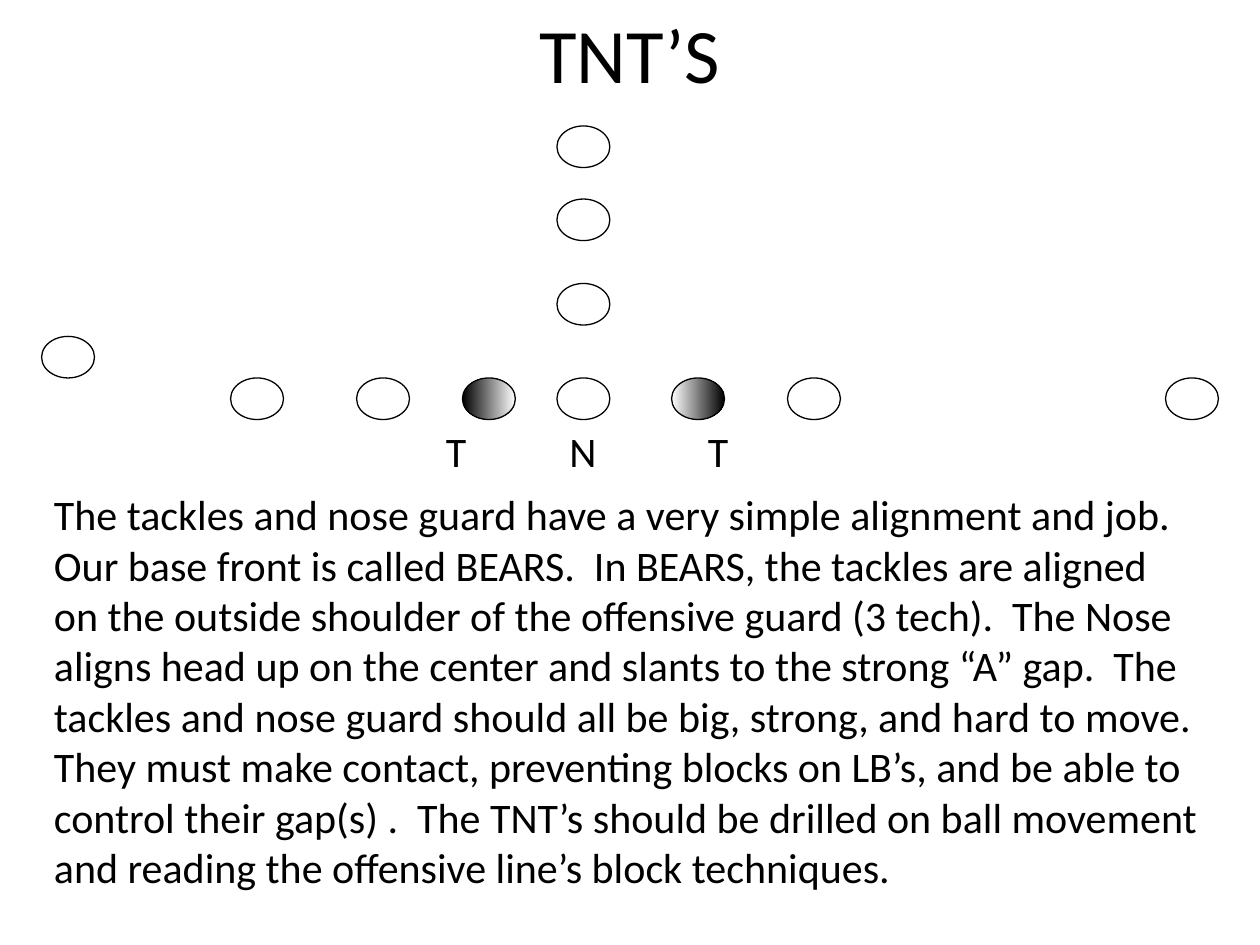
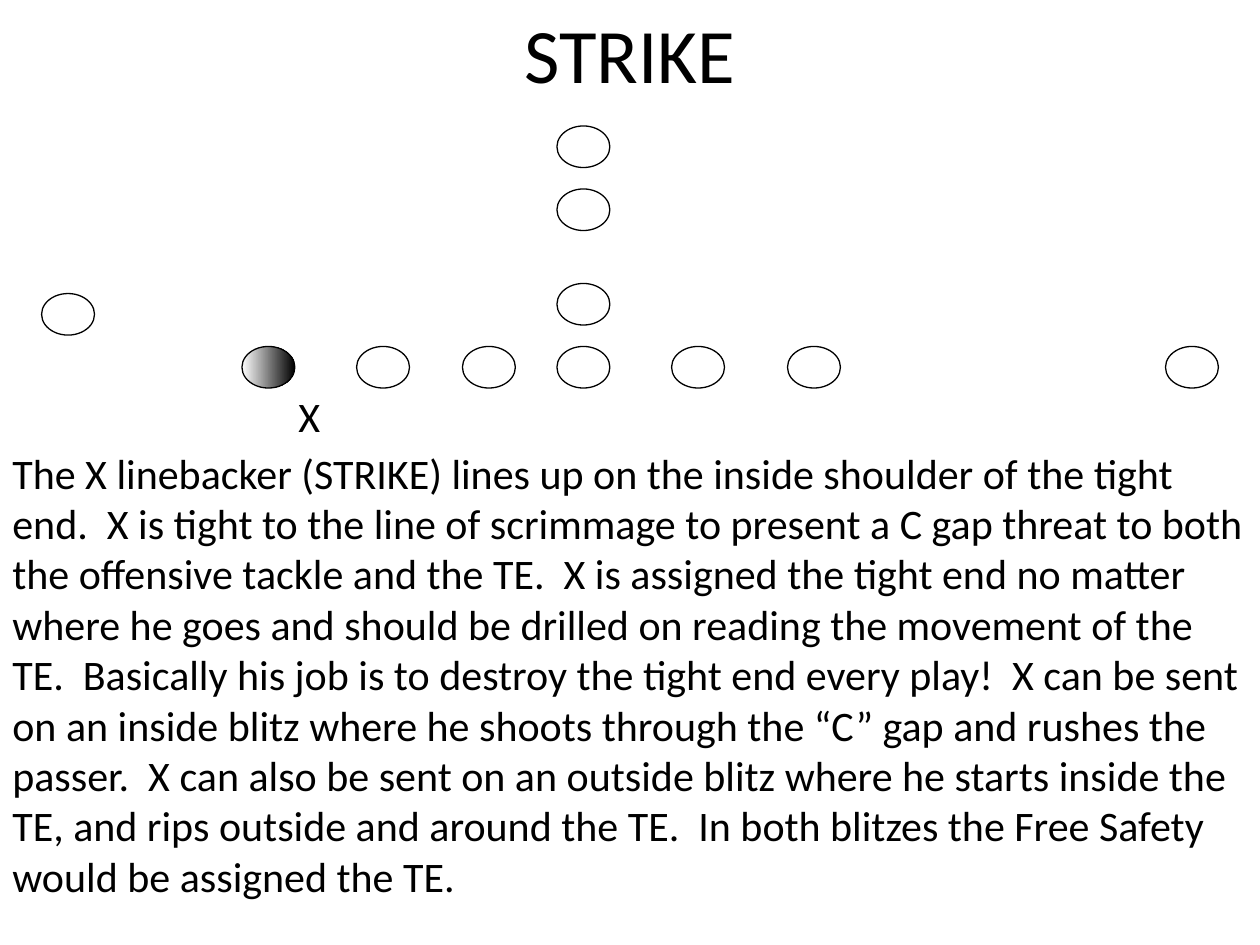
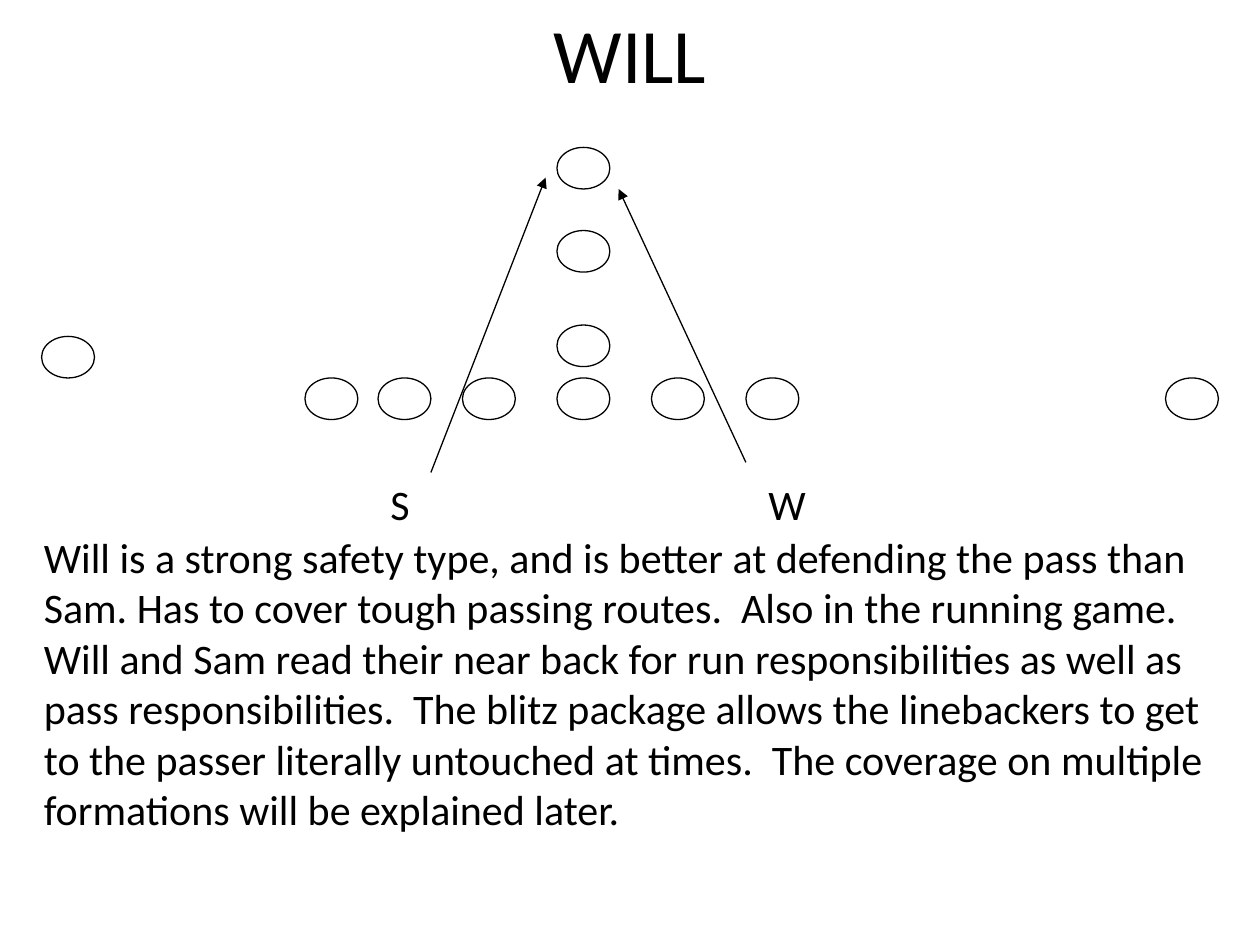
from dataclasses import dataclass

from pptx import Presentation
from pptx import util as u
from pptx.dml.color import RGBColor
from pptx.enum import shapes, text
from pptx.oxml.ns import qn
from lxml import etree


@dataclass(frozen=True)
class Theme:
    font: str = "Calibri"
    ink: RGBColor = RGBColor(0, 0, 0)
    paper: RGBColor = RGBColor(255, 255, 255)
    head: int = 44
    body: int = 24
    line: float = 0.75


@dataclass(frozen=True)
class Spot:
    """A player on offense; shade names the side that is dark."""
    left: float
    top: float
    shade: str = ""


@dataclass(frozen=True)
class Label:
    name: str
    left: float
    top: float
    width: float


@dataclass(frozen=True)
class Rush:
    start: tuple[float, float]
    end: tuple[float, float]


@dataclass(frozen=True)
class Play:
    title: str
    depth: float
    spots: list[Spot]
    labels: list[Label]
    box: tuple[float, float, float, float]
    notes: list[str]
    rushes: tuple[Rush, ...] = ()


THEME = Theme()
CENTER, WING, SPLIT = 4.42, 0.33, 9.25
WIDE, HIGH = 0.42, 0.33


def lineup(top: float, wing: float, row: list[float], backs: list[float],
           shades: dict[float, str] | None = None) -> list[Spot]:
    """Place the line in a row, the backs behind the center, and the wing."""
    marks = shades or {}
    line = [Spot(left, top, marks.get(left, "")) for left in [*row, CENTER, SPLIT]]
    return line + [Spot(CENTER, back) for back in backs] + [Spot(WING, wing)]


PLAYS = [
    Play(
        "TNT’S", 0.83,
        lineup(3, 2.67, [1.83, 2.83, 3.67, 5.33, 6.25], [1, 1.58, 2.25],
               {3.67: "left", 5.33: "right"}),
        [Label("T", 3.44, 3.33, 0.36), Label("N", CENTER, 3.33, 0.42),
         Label("T", 5.52, 3.33, 0.36)],
        (0.33, 3.83, 9.8, 3.3),
        ["The tackles and nose guard have a very simple alignment and job.",
         "Our base front is called BEARS.  In BEARS, the tackles are aligned",
         "on the outside shoulder of the offensive guard (3 tech).  The Nose "
         "aligns head up on the center and slants to the strong “A” gap.  The "
         "tackles and nose guard should all be big, strong, and hard to move.  "
         "They must make contact, preventing blocks on LB’s, and be able to "
         "control their gap(s) .  The TNT’s should be drilled on ball movement "
         "and reading the offensive line’s block techniques."],
    ),
    Play(
        "STRIKE", 0.67,
        lineup(2.75, 2.33, [1.92, 2.83, 3.67, 5.33, 6.25], [1, 1.5, 2.25],
               {1.92: "right"}),
        [Label("X", 2.27, 3.05, 0.37)],
        (0, 3.5, 10, 4.1),
        ["The X linebacker (STRIKE) lines up on the inside shoulder of the tight "
         "end.  X is tight to the line of scrimmage to present a C gap threat to "
         "both the offensive tackle and the TE.  X is assigned the tight end no "
         "matter where he goes and should be drilled on reading the movement of "
         "the TE.  Basically his job is to destroy the tight end every play!  X "
         "can be sent on an inside blitz where he shoots through the “C” gap and "
         "rushes the passer.  X can also be sent on an outside blitz where he "
         "starts inside the TE, and rips outside and around the TE.  In both "
         "blitzes the Free Safety would be assigned the TE."],
    ),
    Play(
        "WILL", 0.75,
        lineup(3, 2.67, [2.42, 3, 3.67, 5.17, 5.92], [1.17, 1.83, 2.58]),
        [Label("S", 3, 3.75, 0.42), Label("W", 6, 3.75, 0.5)],
        (0.25, 4.17, 9.7, 2.5),
        ["Will is a strong safety type, and is better at defending the pass than "
         "Sam. Has to cover tough passing routes.  Also in the running game.",
         "Will and Sam read their near back for run responsibilities as well as "
         "pass responsibilities.  The blitz package allows the linebackers to "
         "get to the passer literally untouched at times.  The coverage on "
         "multiple formations will be explained later."],
        (Rush((3.42, 3.75), (4.33, 1.41)), Rush((5.92, 3.67), (4.91, 1.5))),
    ),
]


def inches(*sizes: float) -> list[u.Length]:
    return [u.Inches(size) for size in sizes]


def assign(item, values: dict) -> None:
    for name, value in values.items():
        setattr(item, name, value)


def write(frame, lines: list[str], size: int, align, fit) -> None:
    assign(frame, {"text": "\n".join(lines), "word_wrap": True, "auto_size": fit,
                   "vertical_anchor": text.MSO_ANCHOR.TOP})
    for para in frame.paragraphs:
        para.alignment = align
        assign(para.font, {"name": THEME.font, "size": u.Pt(size)})
        para.font.color.rgb = THEME.ink


def add_title(slide, play: Play) -> None:
    title = slide.shapes.title
    spots = inches(0.75, 0, 8.5, play.depth)
    assign(title, dict(zip(("left", "top", "width", "height"), spots)))
    write(title.text_frame, [play.title], THEME.head,
          text.PP_ALIGN.CENTER, text.MSO_AUTO_SIZE.NONE)


def add_text(slide, box: tuple, lines: list[str]) -> None:
    frame = slide.shapes.add_textbox(*inches(*box)).text_frame
    write(frame, lines, THEME.body, text.PP_ALIGN.LEFT,
          text.MSO_AUTO_SIZE.SHAPE_TO_FIT_TEXT)


def stroke(line) -> None:
    line.color.rgb = THEME.ink
    line.width = u.Pt(THEME.line)


def add_spot(slide, spot: Spot) -> None:
    oval = slide.shapes.add_shape(
        shapes.MSO_SHAPE.OVAL, *inches(spot.left, spot.top, WIDE, HIGH))
    oval.shadow.inherit = False
    stroke(oval.line)
    if not spot.shade:
        oval.fill.solid()
        oval.fill.fore_color.rgb = THEME.paper
        return
    oval.fill.gradient()
    oval.fill.gradient_angle = 0
    tones = [THEME.ink, THEME.paper]
    if spot.shade == "right":
        tones.reverse()
    for stop, tone in zip(oval.fill.gradient_stops, tones):
        stop.color.rgb = tone


def add_rush(slide, rush: Rush) -> None:
    arrow = slide.shapes.add_connector(
        shapes.MSO_CONNECTOR.STRAIGHT, *inches(*rush.start, *rush.end))
    stroke(arrow.line)
    props = arrow.line._get_or_add_ln()
    etree.SubElement(props, qn("a:tailEnd"), type="triangle")
    etree.SubElement(arrow._element.spPr, qn("a:effectLst"))


def add_play(deck, play: Play) -> None:
    slide = deck.slides.add_slide(deck.slide_layouts.get_by_name("Title Only"))
    add_title(slide, play)
    for spot in play.spots:
        add_spot(slide, spot)
    for label in play.labels:
        add_text(slide, (label.left, label.top, label.width, 0.5), [label.name])
    add_text(slide, play.box, play.notes)
    for rush in play.rushes:
        add_rush(slide, rush)


def main() -> None:
    deck = Presentation()
    assign(deck, {"slide_width": u.Inches(10), "slide_height": u.Inches(7.5)})
    for play in PLAYS:
        add_play(deck, play)
    deck.save("out.pptx")


if __name__ == "__main__":
    main()
